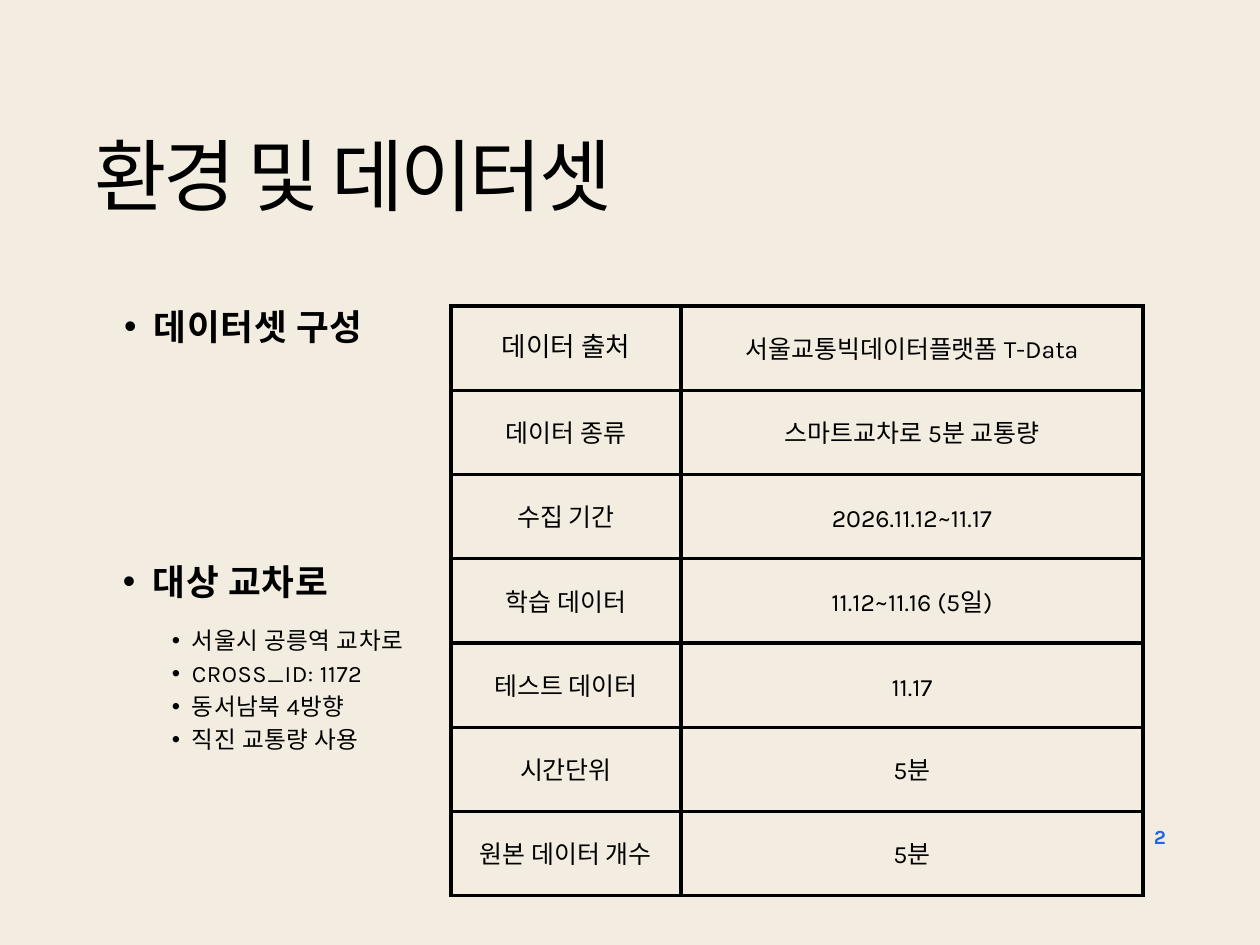
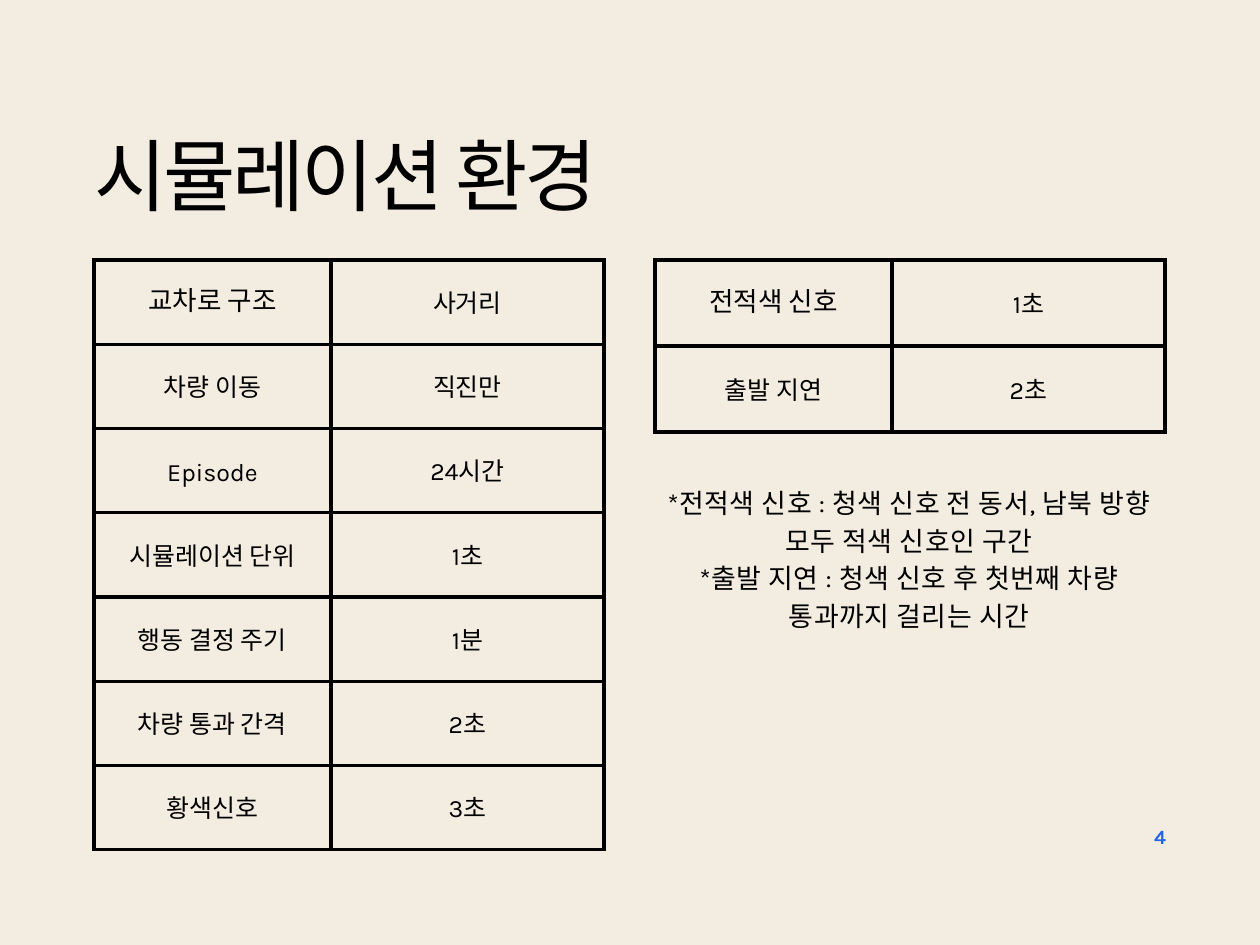
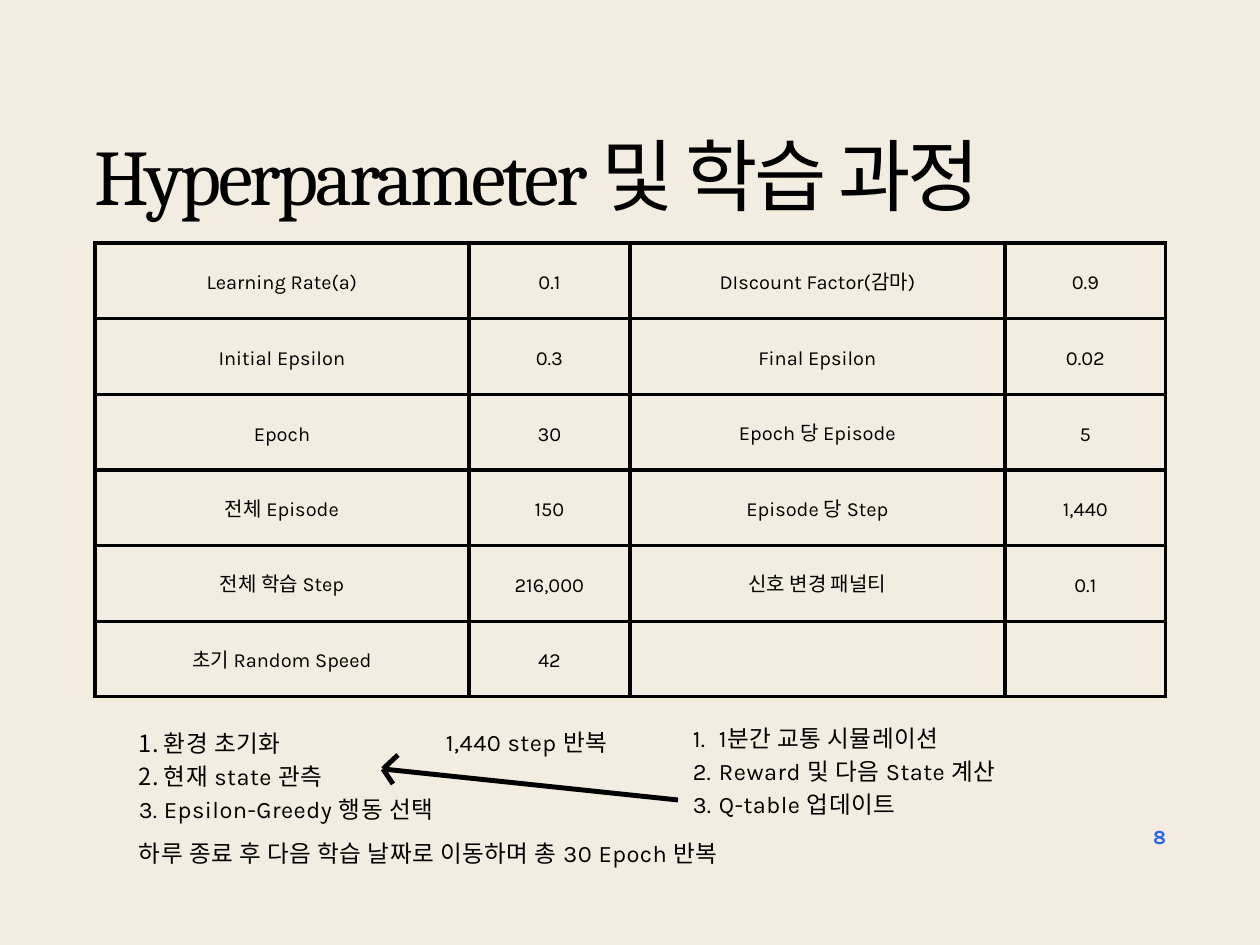
"""Builds three slides on the data set, simulation and training of a traffic signal study."""
from lxml import etree
from pptx import Presentation
from pptx import util as u
from pptx.dml.color import RGBColor
from pptx.enum import shapes, text
from pptx.oxml.ns import qn

PX = 914400 / 118.1
COLORS = {"paper": "F3EDE1", "ink": "000000", "page": "2264EB"}
LEFT, CENTER, RIGHT = text.PP_ALIGN.LEFT, text.PP_ALIGN.CENTER, text.PP_ALIGN.RIGHT
TITLE = dict(size=48, leading=48, font="Cambria", spacing=-190)
PAGE = dict(size=12.2, leading=12.2, color="page", bold=True, spacing=120, align=RIGHT)
HEADING = dict(size=21.7, leading=26, bold=True, spacing=40, bullet="•", indent=(60, -30))
BODY = dict(size=14.4, leading=20.2, spacing=30)
DETAIL = dict(BODY, bullet="•", indent=(40, -20))
NOTE = dict(size=16.4, leading=23, spacing=30, align=CENTER)
HEAD_CELL = dict(size=16.2, leading=20.1, align=CENTER)
CELL = dict(size=15.2, leading=21.3, align=CENTER)
SMALL_CELL = dict(size=12.2, leading=17.1, align=CENTER)


def style(paragraph, size, leading, font="Karla", color="ink", bold=False,
          spacing=0, align=LEFT, bullet=None, indent=(0, 0)):
    paragraph.alignment = align
    paragraph.line_spacing = u.Pt(leading)
    paragraph.space_before = paragraph.space_after = u.Pt(0)
    props = paragraph._p.get_or_add_pPr()
    if bullet:
        paragraph.level = 1
        props.set("marL", str(round(indent[0] * PX)))
        props.set("indent", str(round(indent[1] * PX)))
        if bullet == "1.":
            etree.SubElement(props, qn("a:buFont"), typeface="+mj-lt")
            etree.SubElement(props, qn("a:buAutoNum"), type="arabicPeriod")
        else:
            etree.SubElement(props, qn("a:buFont"), typeface="Arial")
            etree.SubElement(props, qn("a:buChar"), char=bullet)
    paragraph.font.name = font
    paragraph.font.size = u.Pt(size)
    paragraph.font.bold = bold
    paragraph.font.color.rgb = RGBColor.from_string(COLORS[color])
    props.find(qn("a:defRPr")).set("spc", str(spacing))


def write(box, place, lines, **look):
    box.left, box.top, box.width, box.height = (round(n * PX) for n in place)
    frame = box.text_frame
    frame.word_wrap = True
    frame.auto_size = text.MSO_AUTO_SIZE.NONE
    frame.vertical_anchor = text.MSO_ANCHOR.TOP
    frame.margin_left = frame.margin_right = frame.margin_top = frame.margin_bottom = 0
    frame.text = "\n".join(lines)
    for paragraph in frame.paragraphs:
        style(paragraph, **look)


deck = Presentation()
deck.slide_width, deck.slide_height = round(1260 * PX), round(945 * PX)
paper = deck.slide_master.background.fill
paper.solid()
paper.fore_color.rgb = RGBColor.from_string(COLORS["paper"])

pages = []
for layout, heading, width, number in [
    (4, "환경 및 데이터셋", 881, "2"),
    (5, "시뮬레이션 환경", 881, "4"),
    (3, "Hyperparameter 및 학습 과정", 951, "8"),
]:
    page = deck.slides.add_slide(deck.slide_layouts[layout])
    write(page.shapes.title, (94, 143, width, 84), [heading], **TITLE)
    write(page.shapes.add_textbox(0, 0, 0, 0), (1082, 828, 84, 22), [number], **PAGE)
    pages.append(page)
dataset, simulation, training = pages

dataset_rows = [
    ("데이터 출처", "서울교통빅데이터플랫폼 T-Data"),
    ("데이터 종류", "스마트교차로 5분 교통량"),
    ("수집 기간", "2026.11.12~11.17"),
    ("학습 데이터", "11.12~11.16 (5일)"),
    ("테스트 데이터", "11.17"),
    ("시간단위", "5분"),
    ("원본 데이터 개수", "5분"),
]
simulation_rows = [
    ("교차로 구조", "사거리"),
    ("차량 이동", "직진만"),
    ("Episode", "24시간"),
    ("시뮬레이션 단위", "1초"),
    ("행동 결정 주기", "1분"),
    ("차량 통과 간격", "2초"),
    ("황색신호", "3초"),
]
signal_rows = [("전적색 신호", "1초"), ("출발 지연", "2초")]
training_rows = [
    ("Learning Rate(a)", "0.1", "DIscount Factor(감마)", "0.9"),
    ("Initial Epsilon", "0.3", "Final Epsilon", "0.02"),
    ("Epoch", "30", "Epoch 당 Episode", "5"),
    ("전체 Episode", "150", "Episode 당 Step", "1,440"),
    ("전체 학습 Step", "216,000", "신호 변경 패널티", "0.1"),
    ("초기 Random Speed", "42", "", ""),
]

for page, left, top, height, widths, rows, head_look, cell_look in [
    (dataset, 451, 306, 590, (230, 462), dataset_rows, HEAD_CELL, CELL),
    (simulation, 94, 260, 590, (237, 273), simulation_rows, HEAD_CELL, CELL),
    (simulation, 655, 260, 172, (237, 273), signal_rows, HEAD_CELL, CELL),
    (training, 95, 243, 454, (374, 161, 375, 161), training_rows, SMALL_CELL, SMALL_CELL),
]:
    place = (round(n * PX) for n in (left, top, sum(widths), height))
    table = page.shapes.add_table(len(rows), len(widths), *place).table
    table.first_row = table.horz_banding = False
    for column, width in zip(table.columns, widths):
        column.width = round(width * PX)
    for r, row in enumerate(rows):
        for c, value in enumerate(row):
            cell = table.cell(r, c)
            cell.text = value
            cell.vertical_anchor = text.MSO_ANCHOR.MIDDLE
            cell.margin_left = cell.margin_right = round(20 * PX)
            cell.margin_top = cell.margin_bottom = round(20 * PX)
            for side in ("a:lnL", "a:lnR", "a:lnT", "a:lnB"):
                border = etree.SubElement(cell._tc.get_or_add_tcPr(), qn(side), w=str(u.Pt(2.25)))
                ink = etree.SubElement(border, qn("a:solidFill"))
                etree.SubElement(ink, qn("a:srgbClr"), val=COLORS["ink"])
            cell.fill.background()
            style(cell.text_frame.paragraphs[0], **(head_look if r == c == 0 else cell_look))

composition, crossing, crossing_details, spare = list(dataset.placeholders)[1:]
spare._element.getparent().remove(spare._element)
write(composition, (94, 305, 629, 43), ["데이터셋 구성"], **HEADING)
write(crossing, (93, 560, 629, 43), ["대상 교차로"], **HEADING)
write(crossing_details, (152, 621, 905, 162),
      ["서울시 공릉역 교차로", "CROSS_ID: 1172", "동서남북 4방향", "직진 교통량 사용"], **DETAIL)

write(simulation.shapes.add_textbox(0, 0, 0, 0), (654, 481, 510, 149),
      ["*전적색 신호 : 청색 신호 전 동서, 남북 방향 모두 적색 신호인 구간",
       "*출발 지연 : 청색 신호 후 첫번째 차량 통과까지 걸리는 시간"], **NOTE)

observe_steps, update_steps = list(training.placeholders)[1:]
write(observe_steps, (119, 724, 1072, 96),
      ["환경 초기화", "현재 state 관측", "Epsilon-Greedy 행동 선택"],
      **BODY, bullet="1.", indent=(45, -25))
write(update_steps, (673, 719, 492, 96),
      ["1분간 교통 시뮬레이션", "Reward 및 다음 State 계산", "Q-table 업데이트"],
      **BODY, bullet="1.", indent=(46, -26))
write(training.shapes.add_textbox(0, 0, 0, 0), (446, 723, 178, 32), ["1,440 step 반복"], **BODY)
write(training.shapes.add_textbox(0, 0, 0, 0), (139, 834, 965, 32),
      ["하루 종료 후 다음 학습 날짜로 이동하며 총 30 Epoch 반복"], **BODY)

arrow_tip = (383, 769)
for start in [(678, 800), (398, 755), (393, 784)]:
    stroke = training.shapes.add_connector(
        shapes.MSO_CONNECTOR.STRAIGHT, *(round(n * PX) for n in start + arrow_tip))
    stroke.line.color.rgb = RGBColor.from_string(COLORS["ink"])
    stroke.line.width = u.Pt(3)
    etree.SubElement(stroke._element.spPr, qn("a:effectLst"))

deck.save("out.pptx")
